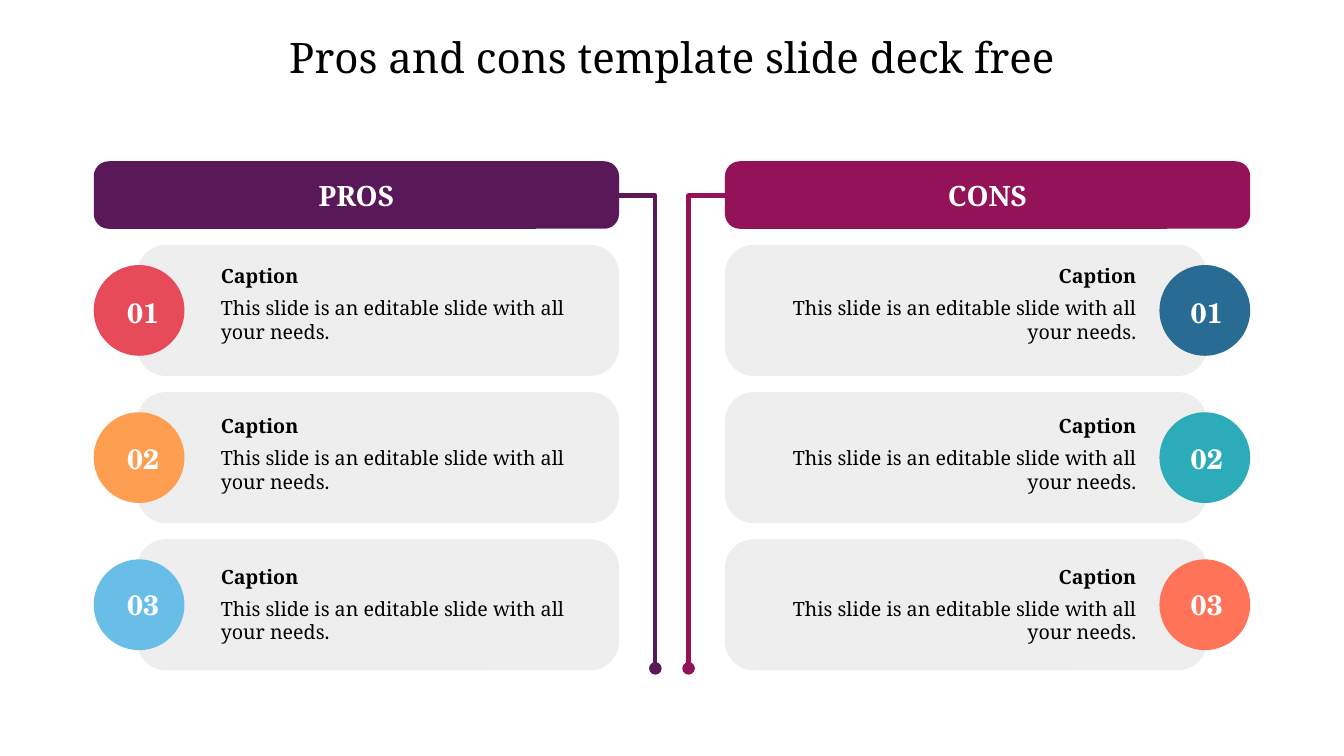
from lxml import etree
from pptx import Presentation
from pptx.dml.color import RGBColor
from pptx.enum.shapes import MSO_CONNECTOR as Connector, MSO_SHAPE as Shape
from pptx.enum.text import MSO_ANCHOR as Anchor, MSO_AUTO_SIZE as AutoSize, PP_ALIGN as Align
from pptx.oxml.ns import qn
from pptx.util import Inches, Pt

COLORS = {
    "pros": "591959", "cons": "941358", "card": "EEEEEE",
    "red": "E74B59", "orange": "FE9E50", "sky": "69BEE7",
    "blue": "286C94", "teal": "2CACB8", "coral": "FF7459",
    "white": "FFFFFF", "black": "000000",
}
BODY = "This slide is an editable slide with all your needs."
CARD_TOP, CARD_STEP = 2.43, 1.46
CAPTION_TOP, CAPTION_STEP = 2.62, 1.49
NUMBER_TOP, NUMBER_STEP = 2.88, 1.45
SIDES = [
    dict(title="PROS", color="pros", header=0.93, card=1.36, circle=0.93, number=0.97,
         caption=2.19, align=Align.LEFT, line=(6.14, 6.5), circles=("red", "orange", "sky")),
    dict(title="CONS", color="cons", header=7.19, card=7.19, circle=11.5, number=11.52,
         caption=7.55, align=Align.RIGHT, line=(7.19, 6.83), circles=("blue", "teal", "coral")),
]


class SlideBuilder:
    body_font = "Noto Serif"
    number_font = "TeX Gyre Schola"

    def __init__(self, slide):
        self.slide = slide

    def color(self, name):
        return RGBColor.from_string(COLORS[name])

    def set_text(self, paragraph, text, size, color, bold=False, align=Align.CENTER, font=None):
        paragraph.text = text
        paragraph.alignment = align
        paragraph.font.name = font or self.body_font
        paragraph.font.size = Pt(size)
        paragraph.font.bold = bold
        paragraph.font.color.rgb = self.color(color)

    def shape(self, kind, left, top, width, height, fill):
        shape = self.slide.shapes.add_shape(
            kind, Inches(left), Inches(top), Inches(width), Inches(height))
        shape.shadow.inherit = False
        shape.fill.solid()
        shape.fill.fore_color.rgb = self.color(fill)
        shape.line.fill.background()
        if kind == Shape.ROUNDED_RECTANGLE:
            shape.adjustments[0] = 0.22
        return shape

    def header(self, left, title, fill):
        shape = self.shape(Shape.ROUNDED_RECTANGLE, left, 1.6, 5.21, 0.67, fill)
        shape.text_frame.vertical_anchor = Anchor.MIDDLE
        self.set_text(shape.text_frame.paragraphs[0], title, 20, "white", bold=True)

    def text_frame(self, left, top, width, height):
        box = self.slide.shapes.add_textbox(
            Inches(left), Inches(top), Inches(width), Inches(height))
        frame = box.text_frame
        frame.word_wrap = True
        frame.auto_size = AutoSize.SHAPE_TO_FIT_TEXT
        return frame

    def label(self, left, top, width, height, text, size, color, **style):
        frame = self.text_frame(left, top, width, height)
        self.set_text(frame.paragraphs[0], text, size, color, **style)

    def caption(self, left, top, align):
        frame = self.text_frame(left, top, 3.72, 0.79)
        frame.margin_left = frame.margin_right = frame.margin_top = frame.margin_bottom = 0
        for paragraph, text, bold in (
                (frame.paragraphs[0], "Caption", True), (frame.add_paragraph(), BODY, False)):
            self.set_text(paragraph, text, 14, "black", bold, align)
            paragraph.space_before = Pt(6)

    def bent_line(self, start, end, color):
        connector = self.slide.shapes.add_connector(
            Connector.ELBOW, Inches(start), Inches(1.94), Inches(end), Inches(6.63))
        connector.line.color.rgb = self.color(color)
        connector.line.width = Pt(3)
        properties = connector._element.spPr
        properties.find(qn("a:prstGeom")).set("prst", "bentConnector2")
        etree.SubElement(properties.find(qn("a:ln")), qn("a:tailEnd"), type="oval")
        etree.SubElement(properties, qn("a:effectLst"))


def main():
    presentation = Presentation()
    presentation.slide_width, presentation.slide_height = Inches(13.33), Inches(7.5)
    builder = SlideBuilder(presentation.slides.add_slide(presentation.slide_layouts[6]))

    builder.label(0, 0.26, 13.33, 0.61, "Pros and cons template slide deck free", 30, "black")
    for side in SIDES:
        builder.bent_line(*side["line"], side["color"])
        builder.header(side["header"], side["title"], side["color"])
        for row, circle_color in enumerate(side["circles"]):
            card_top = CARD_TOP + row * CARD_STEP
            builder.shape(Shape.ROUNDED_RECTANGLE, side["card"], card_top, 4.78, 1.3, "card")
            builder.shape(Shape.OVAL, side["circle"], card_top + 0.2, 0.9, 0.9, circle_color)
            builder.caption(side["caption"], CAPTION_TOP + row * CAPTION_STEP, side["align"])
            builder.label(side["number"], NUMBER_TOP + row * NUMBER_STEP, 0.9, 0.44,
                          f"{row + 1:02}", 20, "white", bold=True, font=builder.number_font)

    presentation.save("out.pptx")


if __name__ == "__main__":
    main()
